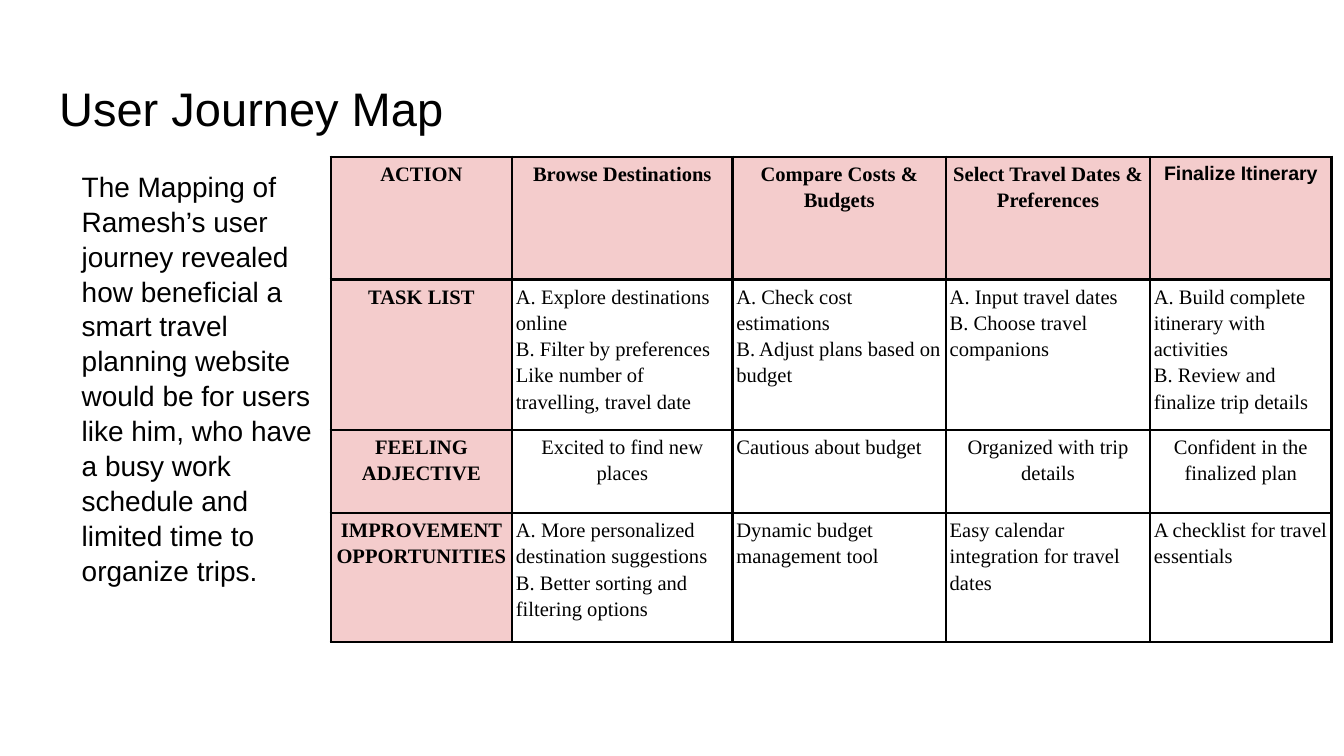
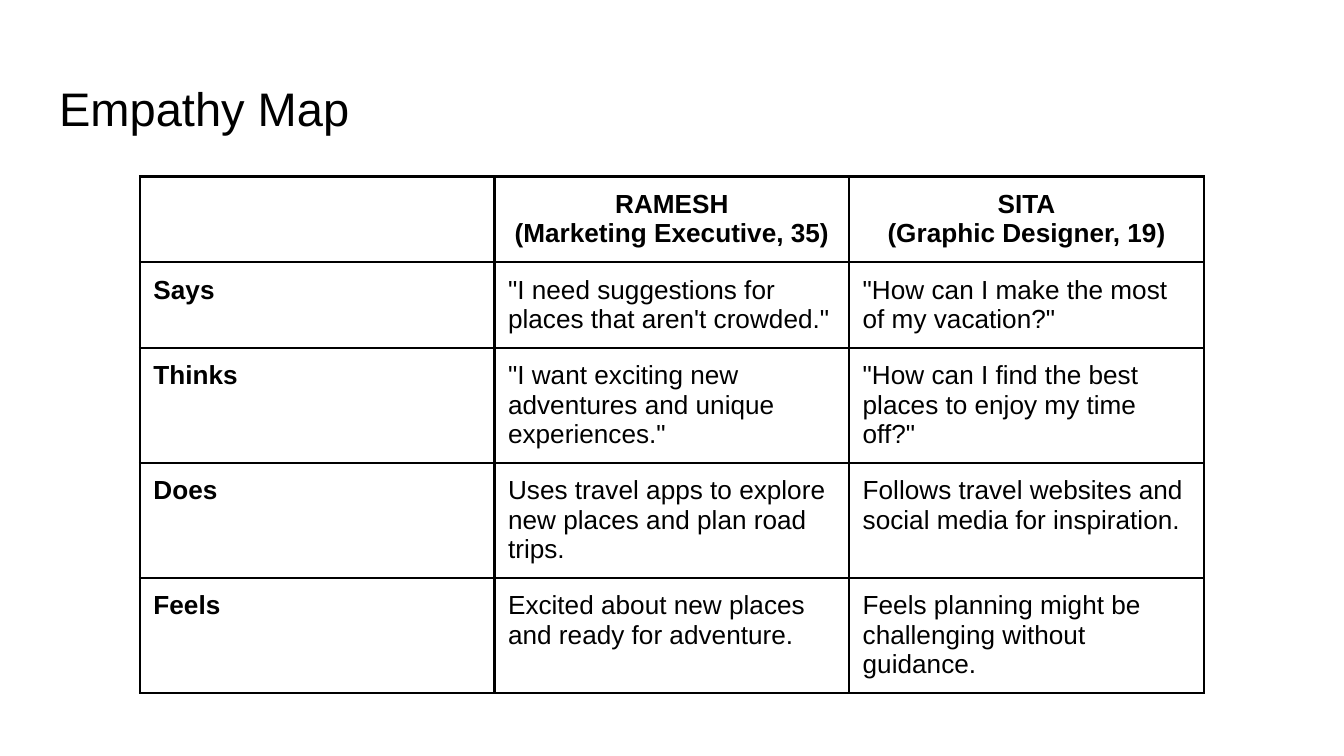
"""Builds a user journey map slide and an empathy map slide."""
from dataclasses import dataclass

from lxml import etree
from pptx import Presentation
from pptx.dml.color import RGBColor
from pptx.enum.text import MSO_ANCHOR, MSO_AUTO_SIZE, PP_ALIGN
from pptx.oxml.ns import qn
from pptx.util import Pt

LEFT, MID = PP_ALIGN.LEFT, PP_ALIGN.CENTER
TOP = MSO_ANCHOR.TOP
FIXED = MSO_AUTO_SIZE.NONE


@dataclass(frozen=True)
class Theme:
    """Colours, fonts and type sizes of the deck."""
    ink: str = "000000"
    pink: str = "F4CCCC"
    sans: str = "Arial"
    serif: str = "Times New Roman"
    title: float = 25.2
    body: float = 15
    cell: float = 14
    small: float = 11
    tiny: float = 10.5
    rule: float = 1.5
    inset: float = 7.2


THEME = Theme()
SIZE = (720, 405)
TITLE_BOX = (24.5, 35.3, 671, 45)
INTRO_BOX = (36.7, 82.8, 141.1, 264.2)
INTRO = (
    "The Mapping of Ramesh’s user journey revealed how beneficial a smart "
    "travel planning website would be for users like him, who have a busy "
    "work schedule and limited time to organize trips."
)

JOURNEY = {
    "rows": [
        ["ACTION", "Browse Destinations", "Compare Costs & Budgets",
         "Select Travel Dates & Preferences", "Finalize Itinerary"],
        ["TASK LIST",
         "A. Explore destinations online\nB. Filter by preferences\n"
         "Like number of travelling, travel date",
         "A. Check cost estimations\nB. Adjust plans based on budget",
         "A. Input travel dates\nB. Choose travel companions",
         "A. Build complete itinerary with activities\n"
         "B. Review and finalize trip details"],
        ["FEELING ADJECTIVE", "Excited to find new places",
         "Cautious about budget", "Organized with trip details",
         "Confident in the finalized plan"],
        ["IMPROVEMENT OPPORTUNITIES",
         "A. More personalized destination suggestions\n"
         "B. Better sorting and filtering options",
         "Dynamic budget management tool",
         "Easy calendar integration for travel dates",
         "A checklist for travel essentials"],
    ],
    "at": (177.2, 84),
    "widths": [97.2, 118.1, 114.3, 109.4, 97.2],
    "heights": [65.8, 80.6, 44.6, 69.1],
    "inset": (2, 1.5),
    "font": (THEME.serif, THEME.small),
    "odd": {(0, 4): (THEME.sans, THEME.tiny)},
    "space": 1.15,
    "fill": THEME.pink,
    "mid_rows": {0, 2},
    "mid_cols": {0},
    "left": {(2, 2)},
}

EMPATHY = {
    "rows": [
        ["", "RAMESH\n(Marketing Executive, 35)",
         "SITA\n(Graphic Designer, 19)"],
        ["Says", "\"I need suggestions for places that aren't crowded.\"",
         "\"How can I make the most of my vacation?\""],
        ["Thinks",
         "\"I want exciting new adventures and unique experiences.\"",
         "\"How can I find the best places to enjoy my time off?\""],
        ["Does",
         "Uses travel apps to explore new places and plan road trips.",
         "Follows travel websites and social media for inspiration."],
        ["Feels", "Excited about new places and ready for adventure.",
         "Feels planning might be challenging without guidance."],
    ],
    "at": (75, 94.5),
    "widths": [190] * 3,
    "heights": [30] * 5,
    "inset": (THEME.inset, THEME.inset),
    "font": (THEME.sans, THEME.cell),
    "odd": {},
    "space": 1,
    "fill": None,
    "mid_rows": {0},
    "mid_cols": set(),
    "left": set(),
}


def style(frame, face, size, bold=False, align=LEFT, space=1):
    """Format every paragraph of a text frame alike."""
    for para in frame.paragraphs:
        para.alignment = align
        para.line_spacing = space
        font = para.font
        font.name, font.size, font.bold = face, Pt(size), bold
        font.color.rgb = RGBColor.from_string(THEME.ink)


def pad(item, wide, high):
    """Set the four inner margins of a cell or text frame."""
    item.margin_left = item.margin_right = Pt(wide)
    item.margin_top = item.margin_bottom = Pt(high)


def edge(cell):
    """Draw a solid line on each side of a cell."""
    props = cell._tc.get_or_add_tcPr()
    for side in "LRTB":
        line = etree.SubElement(props, qn(f"a:ln{side}"),
                                w=str(Pt(THEME.rule)))
        fill = etree.SubElement(line, qn("a:solidFill"))
        etree.SubElement(fill, qn("a:srgbClr"), val=THEME.ink)


def set_box(shape, text, box, size, space=1):
    """Place a text shape and fill it."""
    shape.left, shape.top, shape.width, shape.height = map(Pt, box)
    frame = shape.text_frame
    frame.text = text
    frame.word_wrap = True
    frame.auto_size = FIXED
    frame.vertical_anchor = TOP
    pad(frame, THEME.inset, THEME.inset)
    style(frame, THEME.sans, size, space=space)


def add_page(deck, title):
    """Add a slide with the shared title style."""
    page = deck.slides.add_slide(deck.slide_layouts[5])
    set_box(page.shapes.title, title, TITLE_BOX, THEME.title)
    return page


def add_grid(page, data):
    """Add a ruled table with bold heads in the first row and column."""
    rows, wide, high = data["rows"], data["widths"], data["heights"]
    box = (*data["at"], sum(wide), sum(high))
    grid = page.shapes.add_table(len(rows), len(wide), *map(Pt, box)).table
    grid.first_row = grid.horz_banding = False
    for col, width in zip(grid.columns, wide):
        col.width = Pt(width)
    for row, height in zip(grid.rows, high):
        row.height = Pt(height)
    for r, row in enumerate(rows):
        for c, text in enumerate(row):
            cell = grid.cell(r, c)
            cell.text = text
            cell.vertical_anchor = TOP
            pad(cell, *data["inset"])
            edge(cell)
            head = r == 0 or c == 0
            if head and data["fill"]:
                cell.fill.solid()
                cell.fill.fore_color.rgb = RGBColor.from_string(data["fill"])
            else:
                cell.fill.background()
            mid = r in data["mid_rows"] or c in data["mid_cols"]
            align = MID if mid and (r, c) not in data["left"] else LEFT
            face, size = data["odd"].get((r, c), data["font"])
            style(cell.text_frame, face, size, head, align, data["space"])


def main():
    """Build and save the deck."""
    deck = Presentation()
    deck.slide_width, deck.slide_height = map(Pt, SIZE)
    page = add_page(deck, "User Journey Map")
    intro = page.shapes.add_textbox(*map(Pt, INTRO_BOX))
    set_box(intro, INTRO, INTRO_BOX, THEME.body, 1.04)
    add_grid(page, JOURNEY)
    add_grid(add_page(deck, "Empathy Map"), EMPATHY)
    deck.save("out.pptx")


if __name__ == "__main__":
    main()
